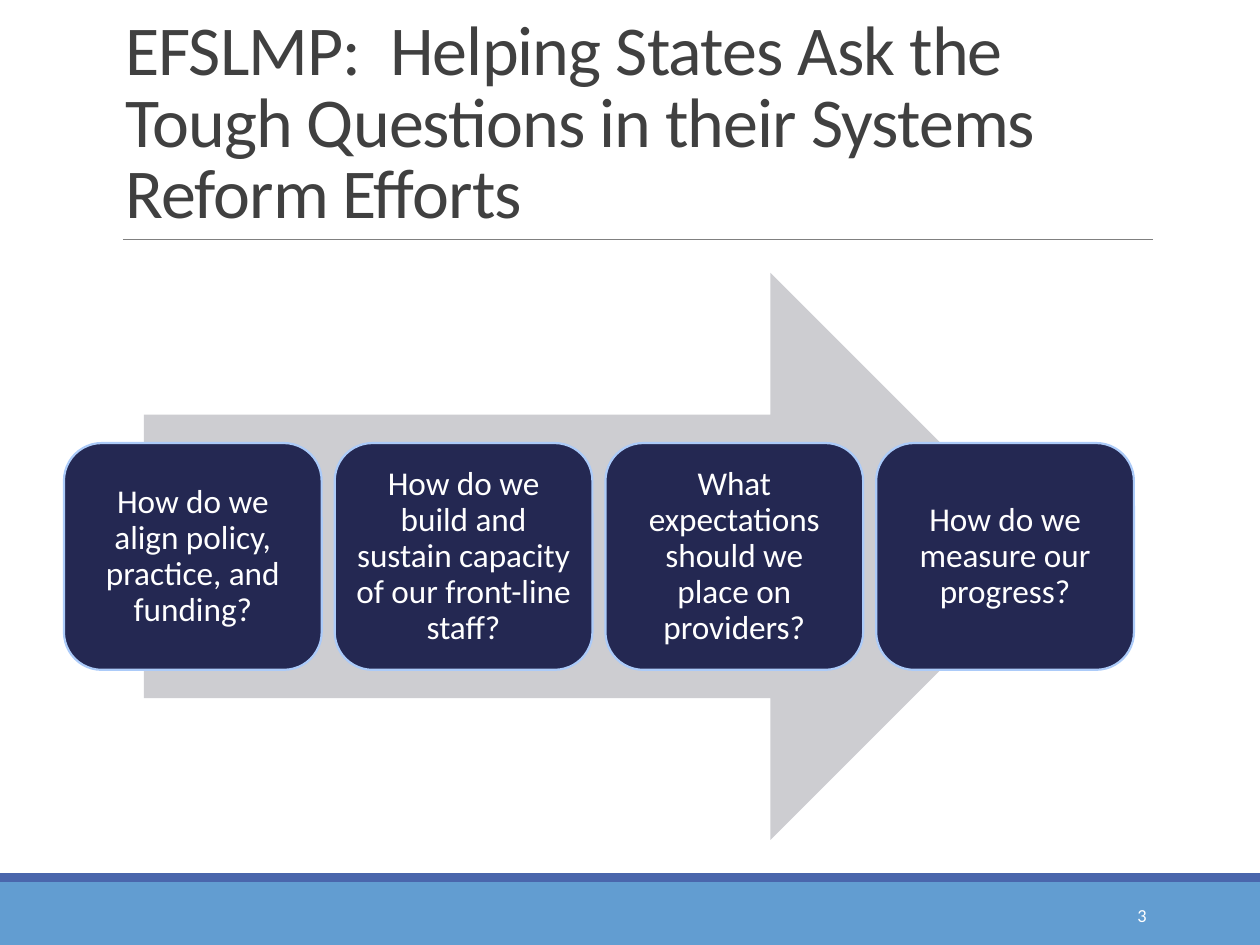
from collections import namedtuple
from dataclasses import dataclass

from lxml.etree import SubElement
from pptx import Presentation
from pptx.dml.color import RGBColor
from pptx.enum.shapes import MSO_CONNECTOR, MSO_SHAPE
from pptx.enum.text import MSO_ANCHOR, PP_ALIGN
from pptx.oxml.ns import qn
from pptx.util import Emu, Pt

Box = namedtuple("Box", "left top width height")


@dataclass(frozen=True)
class Theme:
    font: str = "Calibri"
    title_text: str = "404040"
    light_text: str = "FFFFFF"
    rule: str = "808080"
    arrow: str = "CDCDD1"
    card: str = "242852"
    card_edge: str = "ACCBF9"
    footer: str = "629DD1"
    footer_edge: str = "4A66AC"
    title_size: float = 40
    card_size: float = 19
    number_size: float = 10.5


THEME = Theme()
TITLE = "EFSLMP:  Helping States Ask the Tough Questions in their Systems Reform Efforts"
QUESTIONS = [
    "How do we align policy, practice, and funding?",
    "How do we build and sustain capacity of our front-line staff?",
    "What expectations should we place on providers?",
    "How do we measure our progress?",
]


def px(length):
    return Emu(round(length * 914400 / 126))


def scaled(box):
    return [px(length) for length in box]


def add_block(page, kind, box, fill):
    shape = page.shapes.add_shape(kind, *scaled(box))
    shape.shadow.inherit = False
    shape.fill.solid()
    shape.fill.fore_color.rgb = RGBColor.from_string(fill)
    shape.line.fill.background()
    return shape


def write_text(shape, text, size, color, align, anchor, spacing=1.0):
    frame = shape.text_frame
    frame.text = text
    frame.word_wrap = True
    frame.vertical_anchor = anchor
    para = frame.paragraphs[0]
    para.alignment = align
    para.line_spacing = spacing
    span = para.runs[0]
    span.font.name = THEME.font
    span.font.size = Pt(size)
    span.font.color.rgb = RGBColor.from_string(color)
    return span


def add_footer(page, box):
    edge = 9
    add_block(page, MSO_SHAPE.RECTANGLE,
              Box(box.left, box.top + edge, box.width, box.height - edge), THEME.footer)
    add_block(page, MSO_SHAPE.RECTANGLE,
              Box(box.left, box.top, box.width, edge), THEME.footer_edge)
    number = page.shapes.add_textbox(
        *scaled(Box(box.left + 1023, box.top + 17, 136, 50)))
    write_text(number, "3", THEME.number_size, THEME.light_text,
               PP_ALIGN.RIGHT, MSO_ANCHOR.MIDDLE)


def add_title(page, box):
    title = page.shapes.add_textbox(*scaled(box))
    span = write_text(title, TITLE, THEME.title_size, THEME.title_text,
                      PP_ALIGN.LEFT, MSO_ANCHOR.BOTTOM, 0.85)
    span.font._element.set("spc", "-50")
    bottom = px(box.top + box.height)
    rule = page.shapes.add_connector(
        MSO_CONNECTOR.STRAIGHT, px(box.left + 10), bottom, px(box.left + box.width), bottom)
    rule.line.color.rgb = RGBColor.from_string(THEME.rule)
    rule.line.width = Pt(0.5)
    SubElement(rule._element.spPr, qn("a:effectLst"))


def add_card(page, box, question):
    card = add_block(page, MSO_SHAPE.ROUNDED_RECTANGLE, box, THEME.card)
    card.line.color.rgb = RGBColor.from_string(THEME.card_edge)
    card.line.width = Pt(1.25)
    frame = card.text_frame
    frame.margin_left = frame.margin_right = px(10)
    frame.margin_top = frame.margin_bottom = px(10)
    write_text(card, question, THEME.card_size, THEME.light_text,
               PP_ALIGN.CENTER, MSO_ANCHOR.MIDDLE, 0.9)


def add_process(page, box):
    add_block(page, MSO_SHAPE.RIGHT_ARROW,
              Box(box.left + 80, box.top, 910, box.height), THEME.arrow)
    gap = 13
    width = (box.width - gap * (len(QUESTIONS) - 1)) / len(QUESTIONS)
    height = box.height * 0.4
    top = box.top + (box.height - height) / 2
    for index, question in enumerate(QUESTIONS):
        left = box.left + index * (width + gap)
        add_card(page, Box(left, top, width, height), question)


def main():
    deck = Presentation()
    deck.slide_width, deck.slide_height = px(1260), px(945)
    page = deck.slides.add_slide(deck.slide_layouts[6])
    add_footer(page, Box(0, 873, 1260, 72))
    add_title(page, Box(113, 39, 1040, 200))
    add_process(page, Box(64, 273, 1070, 567))
    deck.save("out.pptx")


if __name__ == "__main__":
    main()
